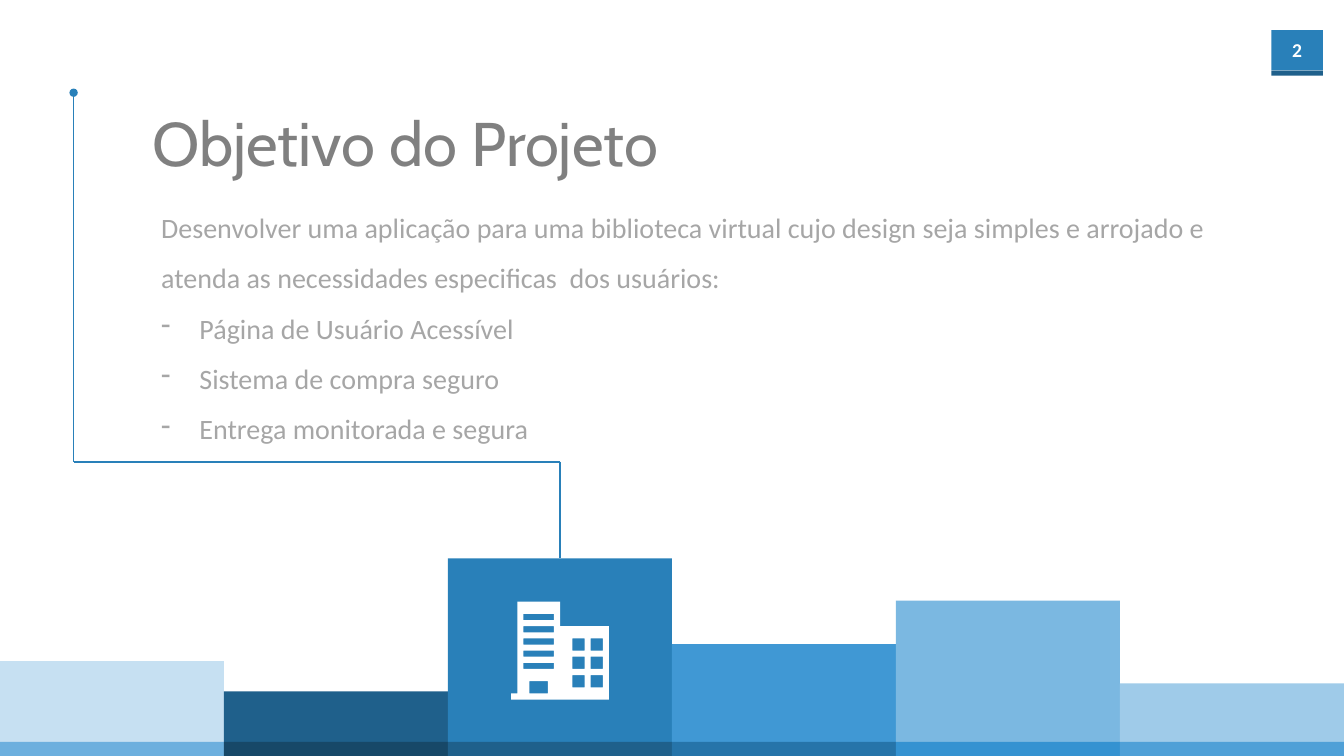
from dataclasses import dataclass

from pptx import Presentation
from pptx.dml.color import RGBColor
from pptx.enum import shapes, text
from pptx.oxml.ns import qn
from pptx.util import Inches, Pt


@dataclass(frozen=True)
class Theme:
    blue: str = "2980B9"
    dark: str = "1F608B"
    white: str = "FFFFFF"
    title: str = "808080"
    body: str = "A6A6A6"
    heading_font: str = "Cabin"
    text_font: str = "Calibri"
    title_size: int = 44
    body_size: int = 20
    number_size: int = 14
    line_width: float = 1.25


T = Theme()
W, H = 13.33, 7.5

# height, colour and base-strip colour of each bar, left to right
BARS = [
    (0.94, "C6E0F2", "6CAFDE"),
    (0.64, T.dark, "174868"),
    (1.96, T.blue, T.dark),
    (1.11, "4098D4", "2674A9"),
    (1.54, "7BB8E1", "3492D1"),
    (0.72, "9FCBE9", "4FA0D7"),
]
ICON_BAR = 2
STRIP_H = 0.14

INTRO = ("Desenvolver uma aplicação para uma biblioteca virtual cujo design seja "
         "simples e arrojado e atenda as necessidades especificas  dos usuários:")
GOALS = ["Página de Usuário Acessível", "Sistema de compra seguro",
         "Entrega monitorada e segura"]


def paint(sp, color):
    sp.shadow.inherit = False
    sp.fill.solid()
    sp.fill.fore_color.rgb = RGBColor.from_string(color)
    sp.line.fill.background()


def add_rect(s, x, y, w, h, color):
    sp = s.shapes.add_shape(shapes.MSO_SHAPE.RECTANGLE,
                            Inches(x), Inches(y), Inches(w), Inches(h))
    paint(sp, color)
    return sp


def add_run(p, content, font, size, color, bold=False):
    r = p.add_run()
    r.text = content
    r.font.name = font
    r.font.size = Pt(size)
    r.font.bold = bold
    r.font.color.rgb = RGBColor.from_string(color)


def add_line(s, x1, y1, x2, y2):
    line = s.shapes.add_connector(shapes.MSO_CONNECTOR.STRAIGHT,
                                  Inches(x1), Inches(y1), Inches(x2), Inches(y2))
    line.line.color.rgb = RGBColor.from_string(T.blue)
    line.line.width = Pt(T.line_width)
    props = line._element.spPr
    props.append(props.makeelement(qn("a:effectLst"), {}))
    return line


def page_number(s, x, y, w, h, number):
    add_rect(s, x, y, w, h, T.blue)
    add_rect(s, x, y + h, w, 0.05, T.dark)
    tf = s.shapes.add_textbox(Inches(x), Inches(y + 0.03),
                              Inches(w), Inches(h - 0.06)).text_frame
    tf.word_wrap = False
    p = tf.paragraphs[0]
    p.alignment = text.PP_ALIGN.CENTER
    add_run(p, number, T.text_font, T.number_size, T.white, bold=True)


def title(s, x, y, w, h, content):
    sp = s.shapes.title
    sp.left, sp.top, sp.width, sp.height = map(Inches, (x, y, w, h))
    tf = sp.text_frame
    tf.word_wrap = False
    tf.auto_size = text.MSO_AUTO_SIZE.NONE
    tf.vertical_anchor = text.MSO_ANCHOR.TOP
    p = tf.paragraphs[0]
    p.alignment = text.PP_ALIGN.LEFT
    add_run(p, content, T.heading_font, T.title_size, T.title)


def body(s, x, y, w, h):
    tf = s.shapes.add_textbox(Inches(x), Inches(y), Inches(w), Inches(h)).text_frame
    tf.word_wrap = True
    for i, content in enumerate([INTRO] + GOALS):
        p = tf.add_paragraph() if i else tf.paragraphs[0]
        p.line_spacing = 1.5
        add_run(p, content, T.text_font, T.body_size, T.body)
        if i:
            props = p._p.get_or_add_pPr()
            props.set("marL", str(Inches(0.38)))
            props.set("indent", str(-Inches(0.38)))
            props.append(props.makeelement(qn("a:buChar"), {"char": "-"}))


def skyline(s, x, bottom, w):
    """Draw bars standing on a darker strip and return the bar with the icon."""
    step = w / len(BARS)
    bars = [add_rect(s, x + i * step, bottom - h, step, h, color)
            for i, (h, color, _) in enumerate(BARS)]
    for i, (_, _, strip) in enumerate(BARS):
        add_rect(s, x + i * step, bottom - STRIP_H, step, STRIP_H, strip)
    return bars[ICON_BAR]


def leader(s, x, top, turn, bar):
    """Lead a dotted-end line from beside the title down to the bar."""
    bar_x = (bar.left + bar.width / 2) / Inches(1)
    add_line(s, x, turn, bar_x, turn)
    drop = add_line(s, bar_x, turn, bar_x, bar.top / Inches(1))
    drop.end_connect(bar, 0)
    ln = add_line(s, x, top, x, turn).line._get_or_add_ln()
    ln.append(ln.makeelement(qn("a:headEnd"), {"type": "oval"}))


def buildings_icon(s, x, y, size):
    """Draw two buildings on a 16 by 16 grid, with openings cut out."""
    door = [(3, 13, 3, 2)]
    slots = [(2, row, 5, 1) for row in range(2, 11, 2)]
    windows = [(col, row, 2, 2) for col in (10, 13) for row in (6, 9, 12)]
    fb = s.shapes.build_freeform(8, 4, scale=Inches(size) / 16)
    fb.add_line_segments([(8, 0), (1, 0), (1, 15), (0, 15), (0, 16), (16, 16), (16, 4)])
    for left, top, w, h in door + slots + windows:
        fb.move_to(left, top)
        fb.add_line_segments([(left + w, top), (left + w, top + h), (left, top + h)])
    paint(fb.convert_to_shape(Inches(x), Inches(y)), T.white)


def objective_slide(prs):
    s = prs.slides.add_slide(prs.slide_layouts[5])
    page_number(s, 12.61, 0.3, 0.51, 0.4, "2")
    title(s, 1.41, 0.99, 5.45, 0.84, "Objetivo do Projeto")
    body(s, 1.5, 1.87, 10.66, 3.64)
    bar = skyline(s, 0, H, W)
    leader(s, 0.73, 0.92, 4.58, bar)
    buildings_icon(s, 5.07, 5.97, 0.97)


def main():
    prs = Presentation()
    prs.slide_width, prs.slide_height = Inches(W), Inches(H)
    objective_slide(prs)
    prs.save("out.pptx")


if __name__ == "__main__":
    main()
